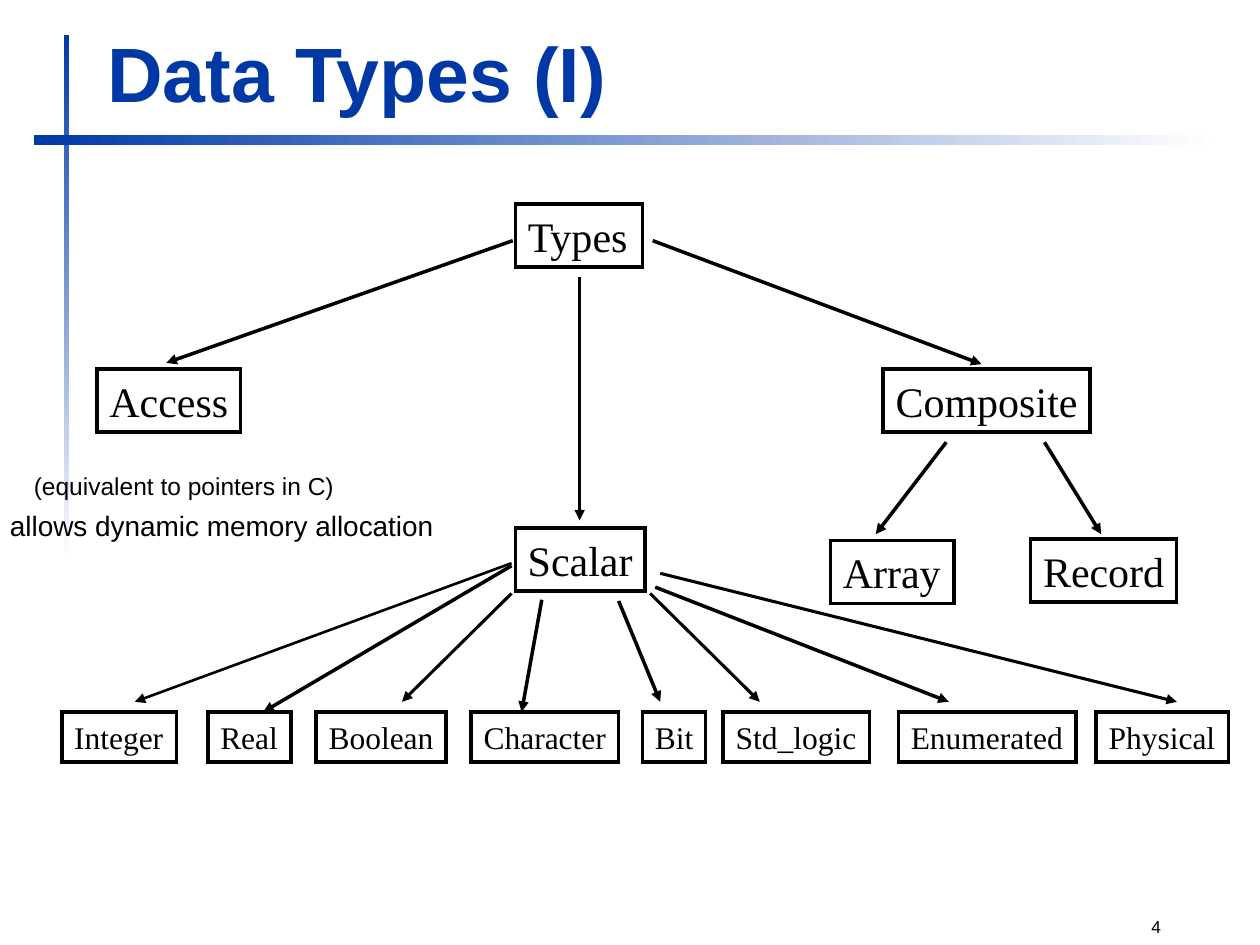
import pptx
import pptx.util
import pptx.dml.color
import pptx.enum.shapes
import pptx.enum.text
import pptx.oxml.ns
import lxml.etree

Inches = pptx.util.Inches
Pt = pptx.util.Pt
RGBColor = pptx.dml.color.RGBColor
MSO = pptx.enum.shapes.MSO_SHAPE
ANCHOR = pptx.enum.text.MSO_ANCHOR
ALIGN = pptx.enum.text.PP_ALIGN
FIT = pptx.enum.text.MSO_AUTO_SIZE
qn = pptx.oxml.ns.qn

BLUE = RGBColor(0x00, 0x39, 0xA6)
BLACK = RGBColor(0, 0, 0)
WHITE = RGBColor(255, 255, 255)
SANS = "Arial"
SERIF = "Times New Roman"

# Tree nodes: text, left, top, width
NODES = [
    ("Types", 4.09, 1.62, 1.01),
    ("Access", 0.77, 2.93, 1.14),
    ("Composite", 7.01, 2.93, 1.64),
    ("Scalar", 4.09, 4.19, 1.03),
    ("Array", 6.59, 4.29, 0.98),
    ("Record", 8.18, 4.28, 1.16),
]

# Scalar types in the bottom row: text, left, width
LEAVES = [
    ("Integer", 0.49, 0.91),
    ("Real", 1.65, 0.66),
    ("Boolean", 2.51, 1.03),
    ("Character", 3.74, 1.17),
    ("Bit", 5.1, 0.5),
    ("Std_logic", 5.74, 1.16),
    ("Enumerated", 7.13, 1.41),
    ("Physical", 8.7, 1.05),
]

# Arrows: start x, start y, end x, end y, line width
ARROWS = [
    # from Types
    (4.07, 1.91, 1.32, 2.88, 2),
    (4.6, 2.2, 4.6, 4.13, 2),
    (5.18, 1.91, 7.79, 2.89, 2),
    # from Composite
    (7.51, 3.51, 6.95, 4.24, 2),
    (8.29, 3.51, 8.74, 4.24, 2),
    # from Scalar
    (4.06, 4.47, 1.07, 5.57, 1.5),
    (4.06, 4.49, 2.09, 5.65, 2),
    (4.06, 4.71, 3.19, 5.57, 1.75),
    (4.3, 4.76, 4.14, 5.65, 2),
    (4.91, 4.77, 5.24, 5.57, 2),
    (5.16, 4.71, 6.03, 5.57, 1.75),
    (5.2, 4.66, 7.53, 5.57, 2),
    (5.24, 4.55, 9.34, 5.57, 1.75),
]


def set_text(shape, text, size, face, color=BLACK, bold=False):
    frame = shape.text_frame
    frame.text = text
    para = frame.paragraphs[0]
    para.alignment = ALIGN.LEFT
    font = para.runs[0].font
    font.size = Pt(size)
    font.name = face
    font.bold = bold
    font.color.rgb = color


def add_bar(slide, left, top, width, height, angle):
    bar = slide.shapes.add_shape(
        MSO.RECTANGLE, Inches(left), Inches(top), Inches(width), Inches(height))
    bar.shadow.inherit = False
    bar.line.fill.background()
    bar.fill.gradient()
    bar.fill.gradient_angle = angle
    for stop, color in zip(bar.fill.gradient_stops, (BLUE, WHITE)):
        stop.color.rgb = color


def add_title(slide, text):
    title = slide.shapes.title
    title.left, title.top = Inches(0.75), Inches(0.16)
    title.width, title.height = Inches(9.03), Inches(0.83)
    set_text(title, text, 44, SANS, BLUE, True)
    title.text_frame.vertical_anchor = ANCHOR.BOTTOM
    title.text_frame.auto_size = FIT.NONE


def add_box(slide, text, left, top, width, height, size):
    box = slide.shapes.add_shape(
        MSO.RECTANGLE, Inches(left), Inches(top), Inches(width), Inches(height))
    box.shadow.inherit = False
    box.fill.background()
    box.line.color.rgb = BLACK
    box.line.width = Pt(2)
    # Square corners
    join = lxml.etree.SubElement(box._element.spPr.find(qn("a:ln")), qn("a:miter"))
    join.set("lim", "800000")
    set_text(box, text, size, SERIF)
    box.text_frame.word_wrap = False
    box.text_frame.vertical_anchor = ANCHOR.TOP


def add_arrow(slide, x1, y1, x2, y2, width):
    line = slide.shapes.add_connector(
        pptx.enum.shapes.MSO_CONNECTOR.STRAIGHT,
        Inches(x1), Inches(y1), Inches(x2), Inches(y2))
    line.line.color.rgb = BLACK
    line.line.width = Pt(width)
    # Arrowhead at the end, no shadow
    props = line._element.spPr
    head = lxml.etree.SubElement(props.find(qn("a:ln")), qn("a:tailEnd"))
    head.set("type", "triangle")
    lxml.etree.SubElement(props, qn("a:effectLst"))


def add_note(slide, text, left, top, width, height, size):
    note = slide.shapes.add_textbox(
        Inches(left), Inches(top), Inches(width), Inches(height))
    set_text(note, text, size, SANS)
    note.text_frame.word_wrap = False


def main():
    deck = pptx.Presentation()
    deck.slide_width, deck.slide_height = Inches(10), Inches(7.5)
    slide = deck.slides.add_slide(deck.slide_layouts.get_by_name("Title Only"))

    # Fading bars and title
    add_bar(slide, 0.51, 0.28, 0.04, 4.17, 270)
    add_bar(slide, 0.27, 1.07, 9.37, 0.08, 0)
    add_title(slide, "Data Types (I)")

    # Type tree
    for arrow in ARROWS:
        add_arrow(slide, *arrow)
    for text, left, top, width in NODES:
        add_box(slide, text, left, top, width, 0.5, 24)
    for text, left, width in LEAVES:
        add_box(slide, text, left, 5.65, width, 0.4, 18)

    # Notes on access types and slide number
    add_note(slide, "(equivalent to pointers in C)", 0.17, 3.69, 2.7, 0.34, 14)
    add_note(slide, "allows dynamic memory allocation", -0.02, 3.99, 3.65, 0.37, 16)
    add_note(slide, "4", 9.04, 7.22, 0.96, 0.28, 9.9)

    deck.save("out.pptx")


if __name__ == "__main__":
    main()
